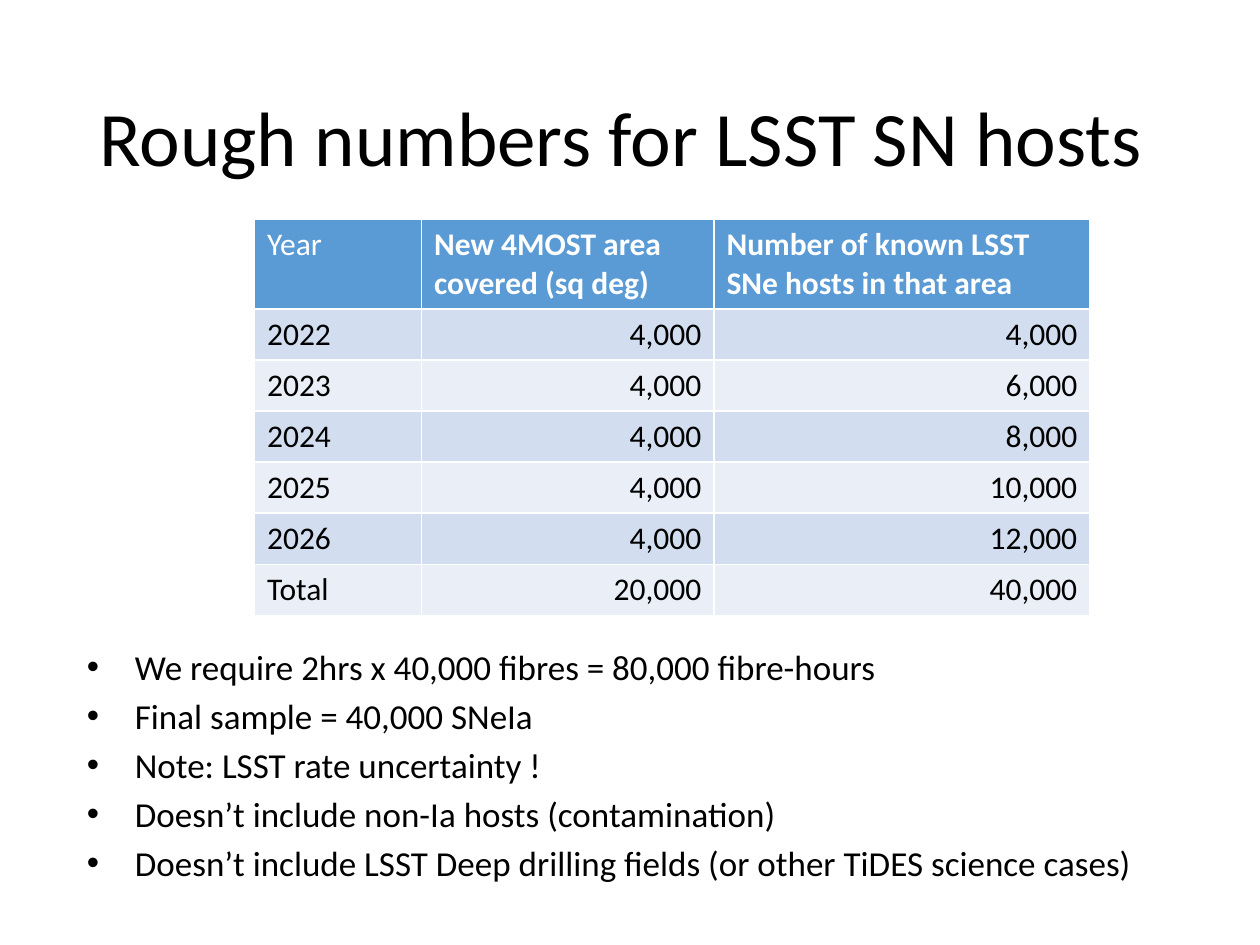
from pptx import Presentation
from pptx.dml.color import RGBColor
from pptx.enum.text import MSO_ANCHOR, MSO_AUTO_SIZE, PP_ALIGN
from pptx.oxml.ns import qn
from pptx.util import Inches, Pt
from lxml.etree import SubElement

COLOURS = {
    "text": "000000",
    "header": "5B9BD5",
    "header_text": "FFFFFF",
    "odd_row": "D2DEEF",
    "even_row": "EAEFF7",
}
HEADINGS = [
    "Year",
    "New 4MOST area covered (sq deg)",
    "Number of known LSST SNe hosts in that area",
]
YEARS = [
    ("2022", "4,000", "4,000"),
    ("2023", "4,000", "6,000"),
    ("2024", "4,000", "8,000"),
    ("2025", "4,000", "10,000"),
    ("2026", "4,000", "12,000"),
    ("Total", "20,000", "40,000"),
]
NOTES = [
    "We require 2hrs x 40,000 fibres = 80,000 fibre-hours",
    "Final sample = 40,000 SNeIa",
    "Note: LSST rate uncertainty !",
    "Doesn’t include non-Ia hosts (contamination)",
    "Doesn’t include LSST Deep drilling fields (or other TiDES science cases)",
]


def write(para, text, size=18, colour="text", bold=False, align=PP_ALIGN.LEFT,
          before=0, line=None):
    para.alignment = align
    para.space_before = Pt(before)
    para.line_spacing = line
    span = para.add_run()
    span.text = text
    span.font.name = "Calibri"
    span.font.size = Pt(size)
    span.font.bold = bold
    span.font.color.rgb = RGBColor.from_string(COLOURS[colour])


def place(shape, box):
    shape.left, shape.top, shape.width, shape.height = map(Inches, box)
    shape.text_frame.word_wrap = True
    shape.text_frame.auto_size = MSO_AUTO_SIZE.NONE


def add_title(page, box, text):
    title = page.shapes.title
    place(title, box)
    title.text_frame.vertical_anchor = MSO_ANCHOR.MIDDLE
    write(title.text_frame.paragraphs[0], text, size=44, line=0.9)


def add_host_table(page, box, shares, header_share):
    left, top, width, height = box
    count = len(YEARS) + 1
    table = page.shapes.add_table(count, len(HEADINGS), *map(Inches, box)).table
    for column, share in zip(table.columns, shares):
        column.width = Inches(width * share)
    body_height = height * (1 - header_share) / len(YEARS)
    for index, values in enumerate([HEADINGS, *YEARS]):
        is_header = index == 0
        table.rows[index].height = Inches(height * header_share if is_header else body_height)
        fill = "header" if is_header else "odd_row" if index % 2 else "even_row"
        for place_in_row, value in enumerate(values):
            is_number = place_in_row > 0 and not is_header
            cell = table.cell(index, place_in_row)
            cell.fill.solid()
            cell.fill.fore_color.rgb = RGBColor.from_string(COLOURS[fill])
            write(cell.text_frame.paragraphs[0], value,
                  colour="header_text" if is_header else "text",
                  bold=is_header and place_in_row > 0,
                  align=PP_ALIGN.RIGHT if is_number else PP_ALIGN.LEFT)


def add_notes_list(page, box, notes):
    body = page.placeholders[1]
    place(body, box)
    frame = body.text_frame
    frame.vertical_anchor = MSO_ANCHOR.TOP
    indent = Inches(0.38)
    for index, note in enumerate(notes):
        para = frame.add_paragraph() if index else frame.paragraphs[0]
        properties = para._p.get_or_add_pPr()
        properties.set("marL", str(indent))
        properties.set("indent", str(-indent))
        SubElement(properties, qn("a:buFont")).set("typeface", "Arial")
        SubElement(properties, qn("a:buChar")).set("char", "•")
        write(para, note, size=20, before=4 if index else 0)


def main():
    deck = Presentation()
    deck.slide_width, deck.slide_height = Inches(10), Inches(7.5)
    page = deck.slides.add_slide(deck.slide_layouts[1])
    add_title(page, (0.69, 0.4, 8.62, 1.45), "Rough numbers for LSST SN hosts")
    add_host_table(page, (2.02, 1.74, 6.63, 3.14), (0.2, 0.35, 0.45), 0.225)
    add_notes_list(page, (0.59, 5.07, 8.91, 1.74), NOTES)
    deck.save("out.pptx")


if __name__ == "__main__":
    main()
